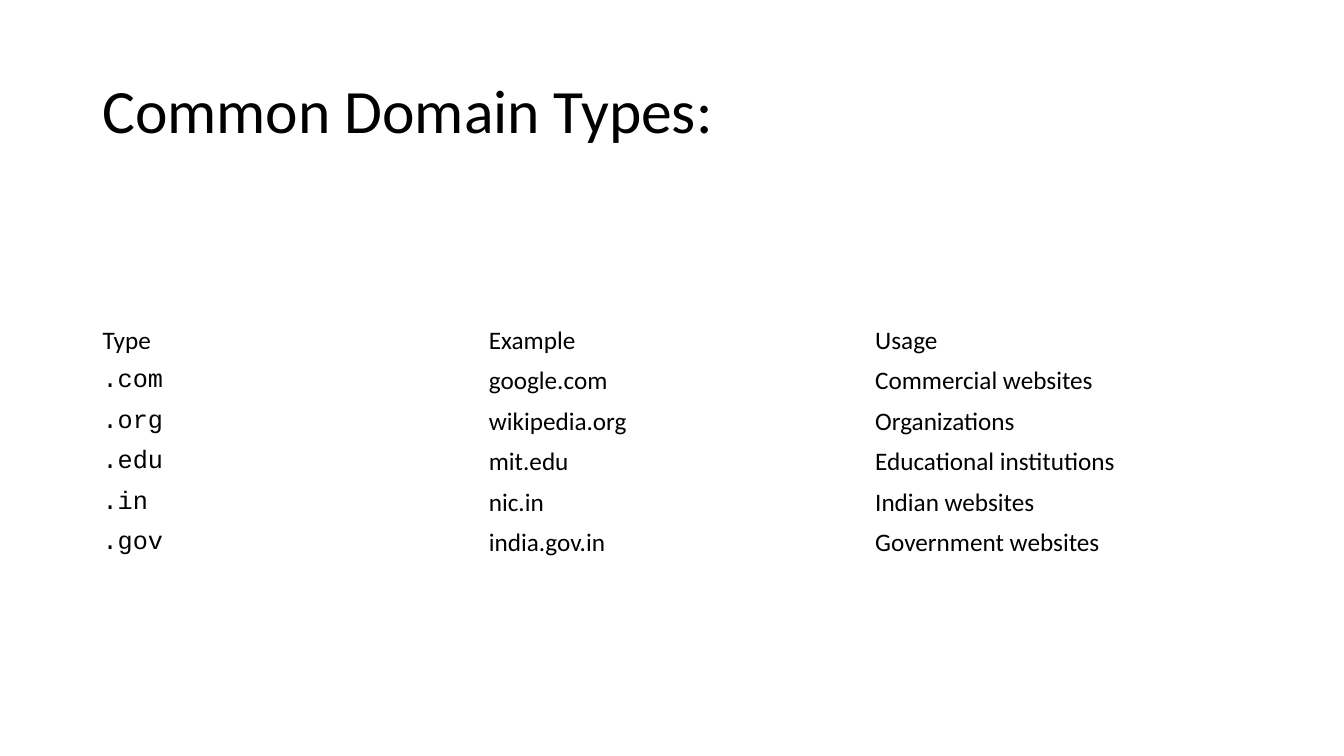
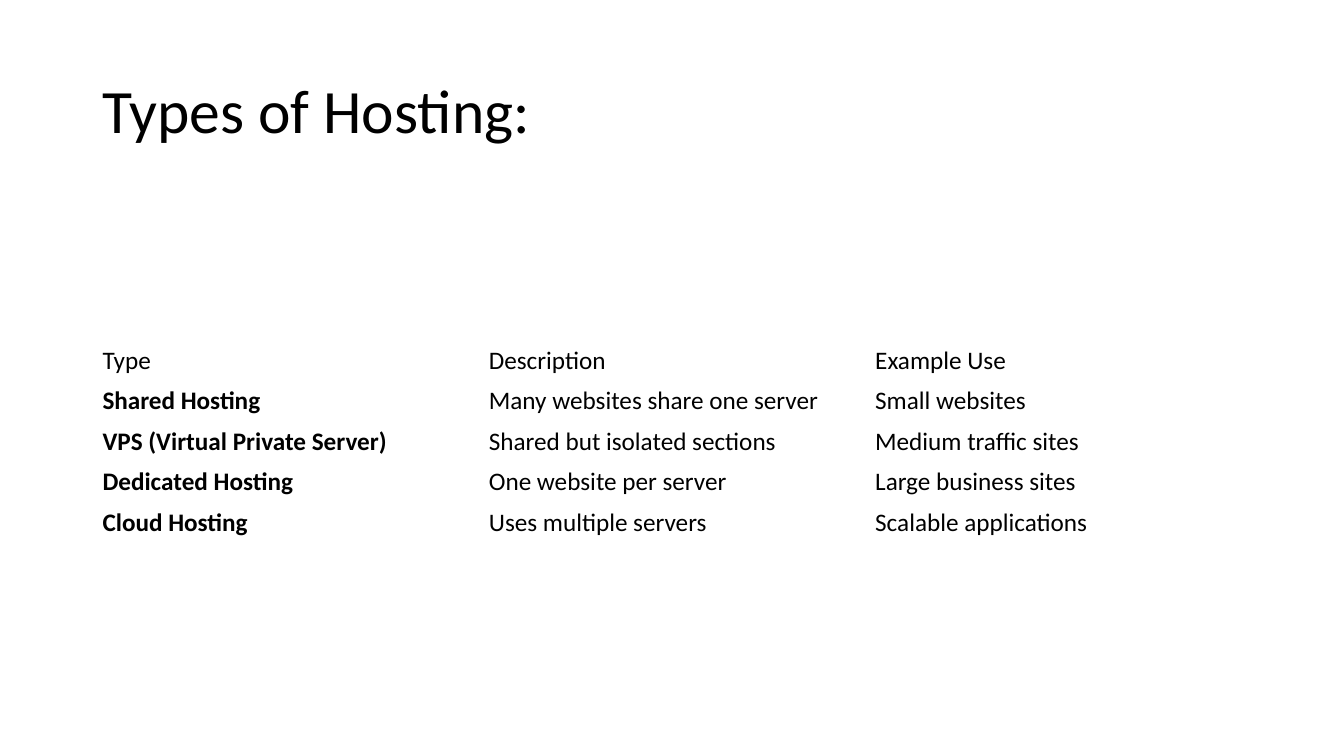
from pptx import Presentation
from pptx.dml.color import RGBColor
from pptx.enum.text import MSO_ANCHOR
from pptx.util import Cm, Pt

MIDDLE = MSO_ANCHOR.MIDDLE
COLORS = {"ink": "000000", "page": "FFFFFF"}
SANS, MONO = "Calibri", "Courier New"

SLIDES = [
    {
        "title": "Common Domain Types:",
        "key": {"face": MONO},
        "rows": [
            ("Type", "Example", "Usage"),
            (".com", "google.com", "Commercial websites"),
            (".org", "wikipedia.org", "Organizations"),
            (".edu", "mit.edu", "Educational institutions"),
            (".in", "nic.in", "Indian websites"),
            (".gov", "india.gov.in", "Government websites"),
        ],
    },
    {
        "title": "Types of Hosting:",
        "key": {"bold": True},
        "rows": [
            ("Type", "Description", "Example Use"),
            ("Shared Hosting", "Many websites share one server", "Small websites"),
            ("VPS (Virtual Private Server)", "Shared but isolated sections", "Medium traffic sites"),
            ("Dedicated Hosting", "One website per server", "Large business sites"),
            ("Cloud Hosting", "Uses multiple servers", "Scalable applications"),
        ],
    },
]

WIDE, HIGH = 33.87, 19.05
LEFT, SPAN = 2.33, 29.21
TOP, HEAD = 1.01, 3.68
CENTER, ROW = 11.13, 1.02


def color(name):
    return RGBColor.from_string(COLORS[name])


def style(para, size, face=SANS, bold=False):
    font = para.font
    font.name, font.size, font.bold = face, Pt(size), bold
    font.color.rgb = color("ink")


def add_title(slide, text):
    box = slide.shapes.add_textbox(Cm(LEFT), Cm(TOP), Cm(SPAN), Cm(HEAD))
    frame = box.text_frame
    frame.word_wrap = True
    frame.vertical_anchor = MIDDLE
    para = frame.paragraphs[0]
    para.text = text
    para.line_spacing = 0.9
    style(para, 44)


def add_grid(slide, rows, key):
    tall = ROW * len(rows)
    table = slide.shapes.add_table(
        len(rows), len(rows[0]), Cm(LEFT), Cm(CENTER - tall / 2), Cm(SPAN), Cm(tall)
    ).table
    table.horz_banding = False
    table.first_row = False
    for r, row in enumerate(rows):
        for c, text in enumerate(row):
            cell = table.cell(r, c)
            cell.fill.background()
            cell.vertical_anchor = MIDDLE
            para = cell.text_frame.paragraphs[0]
            para.text = text
            style(para, 18, **(key if r and not c else {}))


def main():
    deck = Presentation()
    deck.slide_width, deck.slide_height = Cm(WIDE), Cm(HIGH)
    fill = deck.slide_master.background.fill
    fill.solid()
    fill.fore_color.rgb = color("page")
    for data in SLIDES:
        slide = deck.slides.add_slide(deck.slide_layouts[6])
        add_title(slide, data["title"])
        add_grid(slide, data["rows"], data["key"])
    deck.save("out.pptx")


if __name__ == "__main__":
    main()
